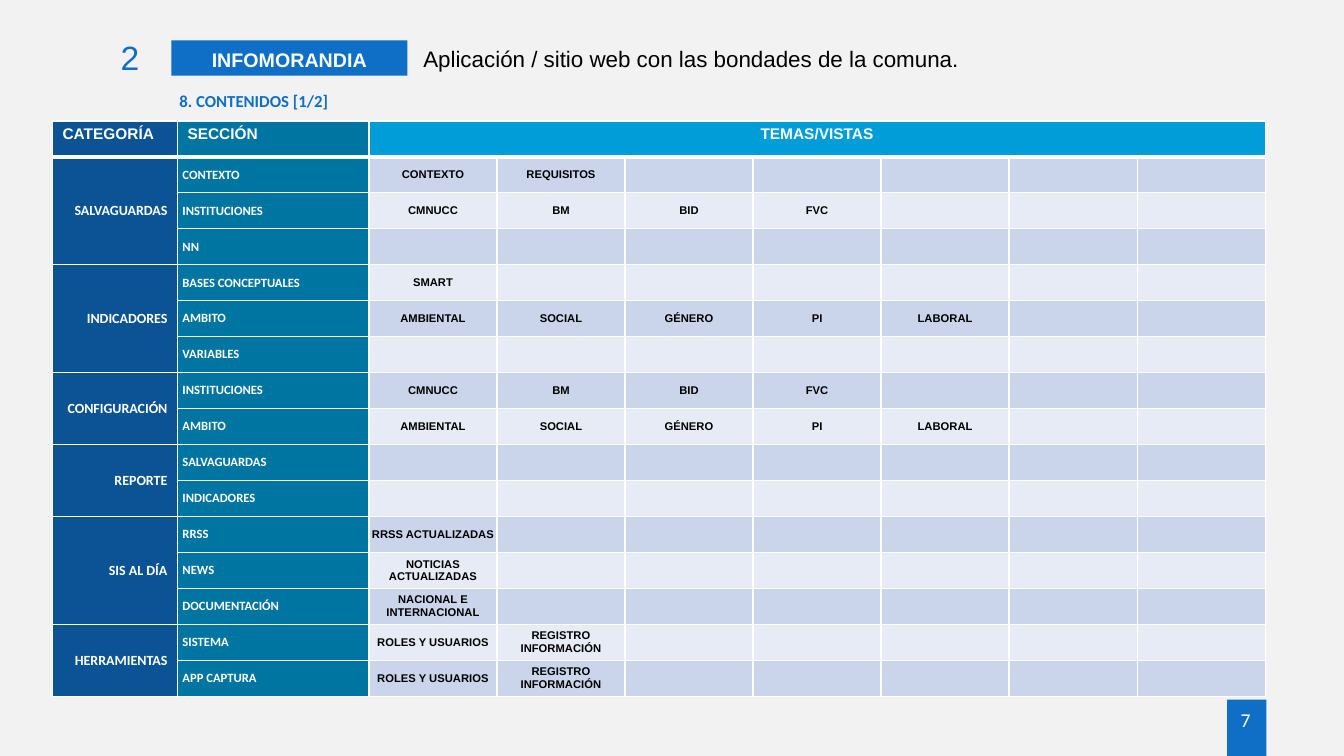
import pptx
import pptx.dml.color
import pptx.enum.shapes
import pptx.enum.text
import pptx.oxml.ns
import pptx.util
from lxml import etree

Inches = pptx.util.Inches
RGBColor = pptx.dml.color.RGBColor
ALIGN = pptx.enum.text.PP_ALIGN
ANCHOR = pptx.enum.text.MSO_ANCHOR

BACKGROUND = RGBColor(0xF2, 0xF2, 0xF2)
BLUE = RGBColor(0x0F, 0x6F, 0xC6)
NAVY = RGBColor(0x0B, 0x53, 0x94)
TEAL = RGBColor(0x00, 0x75, 0xA2)
SKY = RGBColor(0x00, 0x9D, 0xD9)
BAND_DARK = RGBColor(0xCA, 0xD4, 0xEA)
BAND_LIGHT = RGBColor(0xE6, 0xEB, 0xF5)
WHITE = RGBColor(0xFF, 0xFF, 0xFF)
BLACK = RGBColor(0x00, 0x00, 0x00)

THEME_COLUMNS = 7
COLUMN_WIDTHS = [1.24, 1.9] + [1.27] * THEME_COLUMNS
TABLE_HEIGHT = 5.71

INSTITUTIONS = ["CMNUCC", "BM", "BID", "FVC"]
SCOPES = ["AMBIENTAL", "SOCIAL", "GÉNERO", "PI", "LABORAL"]

# Category -> sections, each with its themes
CONTENTS = [
    ("SALVAGUARDAS", [("CONTEXTO", ["CONTEXTO", "REQUISITOS"]),
                      ("INSTITUCIONES", INSTITUTIONS),
                      ("NN", [])]),
    ("INDICADORES", [("BASES CONCEPTUALES", ["SMART"]),
                     ("AMBITO", SCOPES),
                     ("VARIABLES", [])]),
    ("CONFIGURACIÓN", [("INSTITUCIONES", INSTITUTIONS),
                       ("AMBITO", SCOPES)]),
    ("REPORTE", [("SALVAGUARDAS", []),
                 ("INDICADORES", [])]),
    ("SIS AL DÍA", [("RRSS", ["RRSS ACTUALIZADAS"]),
                    ("NEWS", ["NOTICIAS ACTUALIZADAS"]),
                    ("DOCUMENTACIÓN", ["NACIONAL E INTERNACIONAL"])]),
    ("HERRAMIENTAS", [("SISTEMA", ["ROLES Y USUARIOS", "REGISTRO INFORMACIÓN"]),
                      ("APP CAPTURA", ["ROLES Y USUARIOS", "REGISTRO INFORMACIÓN"])]),
]


def write_text(frame, text, size, color, font="Arial", bold=False,
               align=ALIGN.LEFT, spacing=None):
    paragraph = frame.paragraphs[0]
    paragraph.alignment = align
    paragraph.line_spacing = spacing
    run = paragraph.add_run()
    run.text = text
    run.font.size = pptx.util.Pt(size)
    run.font.name = font
    run.font.bold = bold
    run.font.color.rgb = color


def set_margins(target, horizontal, vertical):
    target.margin_left = target.margin_right = Inches(horizontal)
    target.margin_top = target.margin_bottom = Inches(vertical)


def add_label(slide, text, left, top, width, height, margins=(0.1, 0.05), **text_format):
    label = slide.shapes.add_textbox(Inches(left), Inches(top), Inches(width), Inches(height))
    label.text_frame.word_wrap = True
    set_margins(label.text_frame, *margins)
    write_text(label.text_frame, text, **text_format)


def add_block(slide, left, top, width, height):
    block = slide.shapes.add_shape(pptx.enum.shapes.MSO_SHAPE.RECTANGLE, Inches(left),
                                   Inches(top), Inches(width), Inches(height))
    block.shadow.inherit = False
    block.fill.solid()
    block.fill.fore_color.rgb = BLUE
    block.line.fill.background()
    block.text_frame.vertical_anchor = ANCHOR.TOP
    return block


def set_borders(cell, **widths):
    properties = cell._tc.get_or_add_tcPr()
    for side in "LRTB":
        width = pptx.util.Pt(widths.get(side, 1))
        line = etree.SubElement(properties, pptx.oxml.ns.qn(f"a:ln{side}"), w=str(width))
        fill = etree.SubElement(line, pptx.oxml.ns.qn("a:solidFill"))
        etree.SubElement(fill, pptx.oxml.ns.qn("a:srgbClr"), val=str(WHITE))


def fill_cell(cell, text, fill, margins=(0, 0), anchor=ANCHOR.MIDDLE, borders=None,
              **text_format):
    set_borders(cell, **(borders or {}))
    cell.fill.solid()
    cell.fill.fore_color.rgb = fill
    cell.vertical_anchor = anchor
    set_margins(cell, *margins)
    if text:
        write_text(cell.text_frame, text, bold=True, **text_format)


def fill_header(table):
    headings = [("CATEGORÍA", NAVY, ALIGN.LEFT), ("SECCIÓN", TEAL, ALIGN.LEFT),
                ("TEMAS/VISTAS", SKY, ALIGN.CENTER)]
    headings += [("", SKY, ALIGN.CENTER)] * (THEME_COLUMNS - 1)
    for column, (text, fill, align) in enumerate(headings):
        fill_cell(table.cell(0, column), text, fill, margins=(0.1, 0.05), anchor=ANCHOR.TOP,
                  borders={"B": 3}, size=11, color=WHITE, align=align)
    table.cell(0, 2).merge(table.cell(0, len(headings) - 1))


def fill_section(table, row, section, themes):
    top_border = {"T": 3 if row == 1 else 1}
    fill_cell(table.cell(row, 1), section, TEAL, margins=(0.05, 0.05), borders=top_border,
              size=9, color=WHITE, font="Calibri")
    band = BAND_DARK if row % 2 else BAND_LIGHT
    for index in range(THEME_COLUMNS):
        theme = themes[index] if index < len(themes) else ""
        fill_cell(table.cell(row, index + 2), theme, band, borders=top_border,
                  size=8, color=BLACK, align=ALIGN.CENTER)


def add_contents_table(slide):
    row_count = 1 + sum(len(sections) for _, sections in CONTENTS)
    table = slide.shapes.add_table(row_count, len(COLUMN_WIDTHS), Inches(0.52), Inches(1.2),
                                   Inches(sum(COLUMN_WIDTHS)), Inches(TABLE_HEIGHT)).table
    table.first_row = table.horz_banding = False
    for column, width in zip(table.columns, COLUMN_WIDTHS):
        column.width = Inches(width)
    for table_row in table.rows:
        table_row.height = Inches(TABLE_HEIGHT / row_count)

    fill_header(table)
    row = 1
    for category, sections in CONTENTS:
        first = row
        for section, themes in sections:
            fill_cell(table.cell(row, 0), category if row == first else "", NAVY,
                      margins=(0.1, 0 if row > first else 0.05),
                      borders={"T": 3 if row == 1 else 1},
                      size=10, color=WHITE, font="Calibri", align=ALIGN.RIGHT)
            fill_section(table, row, section, themes)
            row += 1
        table.cell(first, 0).merge(table.cell(row - 1, 0))


def main():
    deck = pptx.Presentation()
    deck.slide_width, deck.slide_height = Inches(13.33), Inches(7.5)
    slide = deck.slides.add_slide(deck.slide_layouts[6])
    slide.background.fill.solid()
    slide.background.fill.fore_color.rgb = BACKGROUND

    # Page number
    add_block(slide, 12.17, 6.94, 0.39, 0.56)
    add_label(slide, "7", 12.05, 7, 0.61, 0.33, margins=(0.05, 0.02),
              size=14, color=WHITE, font="Calibri", align=ALIGN.CENTER)

    # Heading
    add_label(slide, "Aplicación / sitio web con las bondades de la comuna.",
              4.1, 0.4, 5.99, 0.75, size=16, color=BLACK)
    project = add_block(slide, 1.7, 0.4, 2.34, 0.35)
    write_text(project.text_frame, "INFOMORANDIA", size=14, color=WHITE, bold=True,
               align=ALIGN.CENTER, spacing=1.1)
    add_label(slide, "2", 0.59, 0.32, 0.89, 0.5, size=24, color=BLUE, align=ALIGN.RIGHT)

    # Contents
    add_contents_table(slide)
    add_label(slide, "8. CONTENIDOS [1/2]", 1.68, 0.85, 4.96, 0.3,
              size=12, color=BLUE, font="Calibri", bold=True)

    deck.save("out.pptx")


if __name__ == "__main__":
    main()
